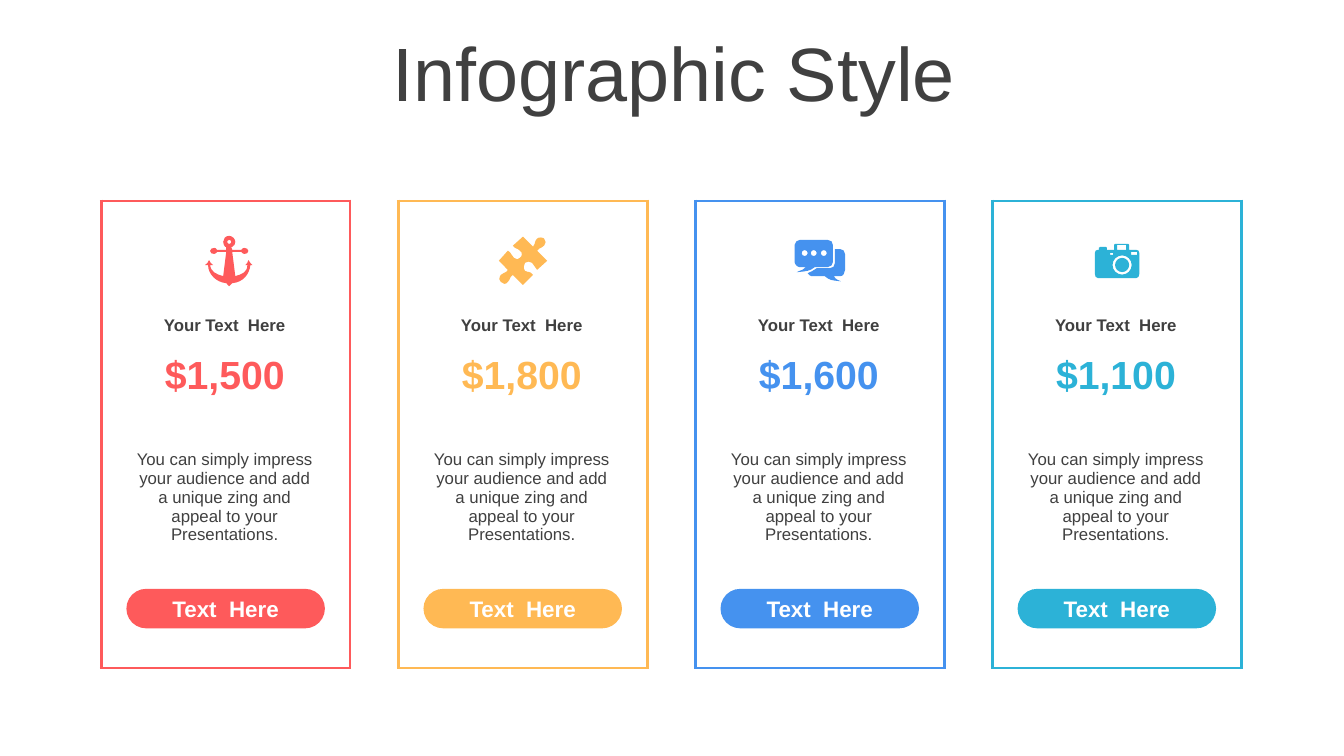
import dataclasses

import lxml.etree
import pptx
import pptx.dml.color
import pptx.enum.shapes
import pptx.enum.text
import pptx.oxml.ns
import pptx.slide
import pptx.table
import pptx.text.text
import pptx.util

Pt = pptx.util.Pt
RGBColor = pptx.dml.color.RGBColor
qn = pptx.oxml.ns.qn

RED = RGBColor(0xFE, 0x5A, 0x5B)
ORANGE = RGBColor(0xFF, 0xB9, 0x54)
BLUE = RGBColor(0x45, 0x92, 0xEF)
TEAL = RGBColor(0x2C, 0xB2, 0xD7)
DARK = RGBColor(0x40, 0x40, 0x40)
WHITE = RGBColor(0xFF, 0xFF, 0xFF)

CARD_LEFT, CARD_TOP, CARD_PITCH = 72.3, 143.6, 212.2
COLUMN_WIDTHS = (17.3, 141.8, 18.7)
ROW_HEIGHTS = (74.2, 29.5, 42.5, 131, 33.8, 22.6)
BORDER_WIDTH = 2.25
PILL_INSET, PILL_TOP, PILL_WIDTH, PILL_HEIGHT = 18, 420.6, 141.8, 28.2
ICON_UNIT = 0.72
CIRCLE_HANDLE = 0.55

HEADING = "Your Text  Here"
DESCRIPTION = (
    "You can simply impress your audience and add a unique zing "
    "and appeal to your Presentations."
)
BUTTON = "Text  Here"

TITLE_FORMAT = {"name": "Arial", "size": Pt(54), "bold": False}
HEADING_FORMAT = {"name": "Arial", "size": Pt(12), "bold": True}
PRICE_FORMAT = {"name": "Arial", "size": Pt(28), "bold": True}
DESCRIPTION_FORMAT = {"name": "Arial", "size": Pt(12), "bold": False}
BUTTON_FORMAT = {"name": "Arial", "size": Pt(16), "bold": True}


def circle(x: float, y: float, radius: float) -> str:
    handle = radius * CIRCLE_HANDLE
    left, right, top, bottom = x - radius, x + radius, y - radius, y + radius
    return (
        f"M {right} {y} C {right} {y + handle} {x + handle} {bottom} {x} {bottom} "
        f"C {x - handle} {bottom} {left} {y + handle} {left} {y} "
        f"C {left} {y - handle} {x - handle} {top} {x} {top} "
        f"C {x + handle} {top} {right} {y - handle} {right} {y}"
    )


ANCHOR = (
    circle(24, 6, 2),
    "M 24 0 C 27 0 30 3 30 6 C 30 8 29 10 27 11 L 26 11 L 27 14 L 36 14 "
    "C 37 12 38 12 39 12 C 41 12 43 13 43 15 C 43 17 41 18 39 18 C 38 18 37 17 36 16 "
    "L 27 16 L 30 40 C 37 38 42 36 42 29 L 40 29 C 41 28 43 26 43 24 "
    "C 44 26 46 28 47 29 L 45 29 C 44 38 38 46 27 47 C 25 48 25 49 24 50 "
    "C 23 49 22 48 21 47 C 11 46 3 38 3 29 L 0 29 C 2 28 3 26 4 24 "
    "C 5 26 6 28 8 29 L 5 29 C 6 36 11 38 18 40 L 21 16 L 12 16 "
    "C 11 17 10 18 9 18 C 7 18 5 17 5 15 C 5 13 7 12 9 12 C 10 12 11 12 12 14 "
    "L 21 14 L 21 11 L 20 11 C 19 10 18 8 18 6 C 18 3 20 0 24 0",
)
PUZZLE = (
    "M 45 2 C 47 4 47 7 45 9 C 43 12 41 10 38 14 L 48 24 L 38 33 "
    "C 35 31 36 28 33 26 C 31 24 28 25 26 26 C 25 28 24 31 26 34 "
    "C 30 36 31 34 34 38 L 24 48 L 14 38 C 10 41 12 42 9 45 C 7 48 4 47 2 45 "
    "C 0 44 0 41 2 38 C 4 35 7 37 9 33 L 0 24 L 9 14 C 13 16 12 19 15 21 "
    "C 17 23 20 23 21 21 C 23 20 24 16 21 14 C 18 11 17 13 14 9 L 24 0 L 34 10 "
    "C 37 6 35 5 38 2 C 40 0 44 1 45 2",
)
CHAT = (
    *(circle(x, 13, 3) for x in (29, 19, 10)),
    "M 40 9 L 45 9 C 48 9 50 11 50 14 L 50 30 C 50 33 48 36 45 36 L 39 36 "
    "C 40 37 40 39 46 41 C 36 40 35 40 30 36 L 17 36 C 15 36 14 34 13 33 "
    "C 16 32 19 30 22 28 L 35 28 C 38 28 40 26 40 23",
    "M 5 0 L 33 0 C 36 0 38 2 38 5 L 38 22 C 38 24 36 27 33 27 L 20 27 "
    "C 15 31 12 31 2 32 C 8 29 9 30 11 27 L 5 27 C 3 27 0 24 0 22 L 0 5 C 0 2 3 0 5 0",
)
CAMERA = (
    *(circle(27, 21, radius) for radius in (7, 9.5)),
    "M 15 9 L 15 11 L 18 11 L 18 9",
    "M 36 8 L 36 11 L 42 11 L 42 8",
    "M 22 1 L 22 6 L 31 6 L 31 1",
    "M 20 0 L 33 0 L 34 1 L 34 6 L 41 6 C 43 6 44 7 44 9 L 44 30 C 44 32 43 34 41 34 "
    "L 3 34 C 1 34 0 32 0 30 L 0 9 C 0 7 1 6 3 6 L 4 6 L 4 4 L 5 3 L 11 3 L 12 4 "
    "L 12 6 L 19 6 L 19 1 L 20 0",
)


@dataclasses.dataclass(frozen=True)
class Card:
    price: str
    color: RGBColor
    icon: tuple[str, ...]
    icon_inset: float
    icon_top: float


CARDS = (
    Card("$1,500", RED, ANCHOR, 74.2, 168.5),
    Card("$1,800", ORANGE, PUZZLE, 71.8, 169),
    Card("$1,600", BLUE, CHAT, 70.9, 171.4),
    Card("$1,100", TEAL, CAMERA, 73.2, 174.2),
)


def write_text(
    paragraph: pptx.text.text._Paragraph, text: str, values: dict, color: RGBColor
) -> None:
    paragraph.alignment = pptx.enum.text.PP_ALIGN.CENTER
    run = paragraph.add_run()
    run.text = text
    for name, value in values.items():
        setattr(run.font, name, value)
    run.font.color.rgb = color


def set_borders(cell: pptx.table._Cell, colored: dict[str, bool], color: RGBColor) -> None:
    properties = cell._tc.get_or_add_tcPr()
    for index, (side, visible) in enumerate(colored.items()):
        line = lxml.etree.Element(qn(f"a:ln{side}"))
        if visible:
            line.set("w", str(Pt(BORDER_WIDTH)))
            fill = lxml.etree.SubElement(line, qn("a:solidFill"))
            lxml.etree.SubElement(fill, qn("a:srgbClr"), val=str(color))
        else:
            lxml.etree.SubElement(line, qn("a:noFill"))
        properties.insert(index, line)


def add_card_table(slide: pptx.slide.Slide, card: Card, left: float) -> None:
    last_row, last_column = len(ROW_HEIGHTS) - 1, len(COLUMN_WIDTHS) - 1
    table = slide.shapes.add_table(
        len(ROW_HEIGHTS), len(COLUMN_WIDTHS), Pt(left), Pt(CARD_TOP),
        Pt(sum(COLUMN_WIDTHS)), Pt(sum(ROW_HEIGHTS)),
    ).table
    table.first_row = table.horz_banding = False
    for column, width in zip(table.columns, COLUMN_WIDTHS):
        column.width = Pt(width)
    for row_index, height in enumerate(ROW_HEIGHTS):
        table.rows[row_index].height = Pt(height)
        for column_index in range(len(COLUMN_WIDTHS)):
            cell = table.cell(row_index, column_index)
            cell.margin_top = cell.margin_bottom = 0
            cell.vertical_anchor = pptx.enum.text.MSO_ANCHOR.MIDDLE
            cell.fill.solid()
            cell.fill.fore_color.rgb = WHITE
            colored = {
                "L": column_index == 0,
                "R": column_index == last_column,
                "T": row_index == 0,
                "B": row_index == last_row,
            }
            set_borders(cell, colored, card.color)
    texts = (
        (HEADING, HEADING_FORMAT, DARK),
        (card.price, PRICE_FORMAT, card.color),
        (DESCRIPTION, DESCRIPTION_FORMAT, DARK),
    )
    for row_index, (text, values, color) in enumerate(texts, start=1):
        write_text(table.cell(row_index, 1).text_frame.paragraphs[0], text, values, color)


def paint(shape, color: RGBColor) -> None:
    shape.shadow.inherit = False
    shape.fill.solid()
    shape.fill.fore_color.rgb = color
    shape.line.fill.background()


def add_button(slide: pptx.slide.Slide, card: Card, left: float) -> None:
    pill = slide.shapes.add_shape(
        pptx.enum.shapes.MSO_SHAPE.ROUNDED_RECTANGLE,
        Pt(left + PILL_INSET), Pt(PILL_TOP), Pt(PILL_WIDTH), Pt(PILL_HEIGHT),
    )
    pill.adjustments[0] = 0.5
    paint(pill, card.color)
    pill.text_frame.vertical_anchor = pptx.enum.text.MSO_ANCHOR.MIDDLE
    write_text(pill.text_frame.paragraphs[0], BUTTON, BUTTON_FORMAT, WHITE)


def outline_points(outline: str) -> list[tuple[int, int]]:
    numbers = [Pt(float(token) * ICON_UNIT) for token in outline.split() if token not in "MLC"]
    return list(zip(numbers[::2], numbers[1::2]))


def bend_curves(shape, icon: tuple[str, ...]) -> None:
    segments = iter(shape._element.findall(".//" + qn("a:lnTo")))
    for command in "".join(icon):
        if command == "L":
            next(segments)
        elif command == "C":
            first, second, third = (next(segments) for _ in range(3))
            curve = lxml.etree.Element(qn("a:cubicBezTo"))
            first.addprevious(curve)
            for segment in (first, second, third):
                curve.append(segment[0])
                segment.getparent().remove(segment)


def add_icon(slide: pptx.slide.Slide, card: Card, left: float) -> None:
    contours = [outline_points(outline) for outline in card.icon]
    builder = slide.shapes.build_freeform(*contours[0][0])
    for index, contour in enumerate(contours):
        if index:
            builder.move_to(*contour[0])
        builder.add_line_segments(contour[1:], close=True)
    icon = builder.convert_to_shape(Pt(left + card.icon_inset), Pt(card.icon_top))
    bend_curves(icon, card.icon)
    paint(icon, card.color)


def add_title(slide: pptx.slide.Slide) -> None:
    frame = slide.shapes.add_textbox(Pt(25.5), Pt(26.6), Pt(911.5), Pt(56.9)).text_frame
    frame.word_wrap = True
    frame.vertical_anchor = pptx.enum.text.MSO_ANCHOR.MIDDLE
    frame.paragraphs[0].line_spacing = 0.9
    write_text(frame.paragraphs[0], "Infographic Style", TITLE_FORMAT, DARK)


def main() -> None:
    presentation = pptx.Presentation()
    presentation.slide_width, presentation.slide_height = Pt(960), Pt(540)
    slide = presentation.slides.add_slide(presentation.slide_layouts[6])
    add_title(slide)
    for index, card in enumerate(CARDS):
        left = CARD_LEFT + index * CARD_PITCH
        for add_part in (add_card_table, add_button, add_icon):
            add_part(slide, card, left)
    presentation.save("out.pptx")


if __name__ == "__main__":
    main()
